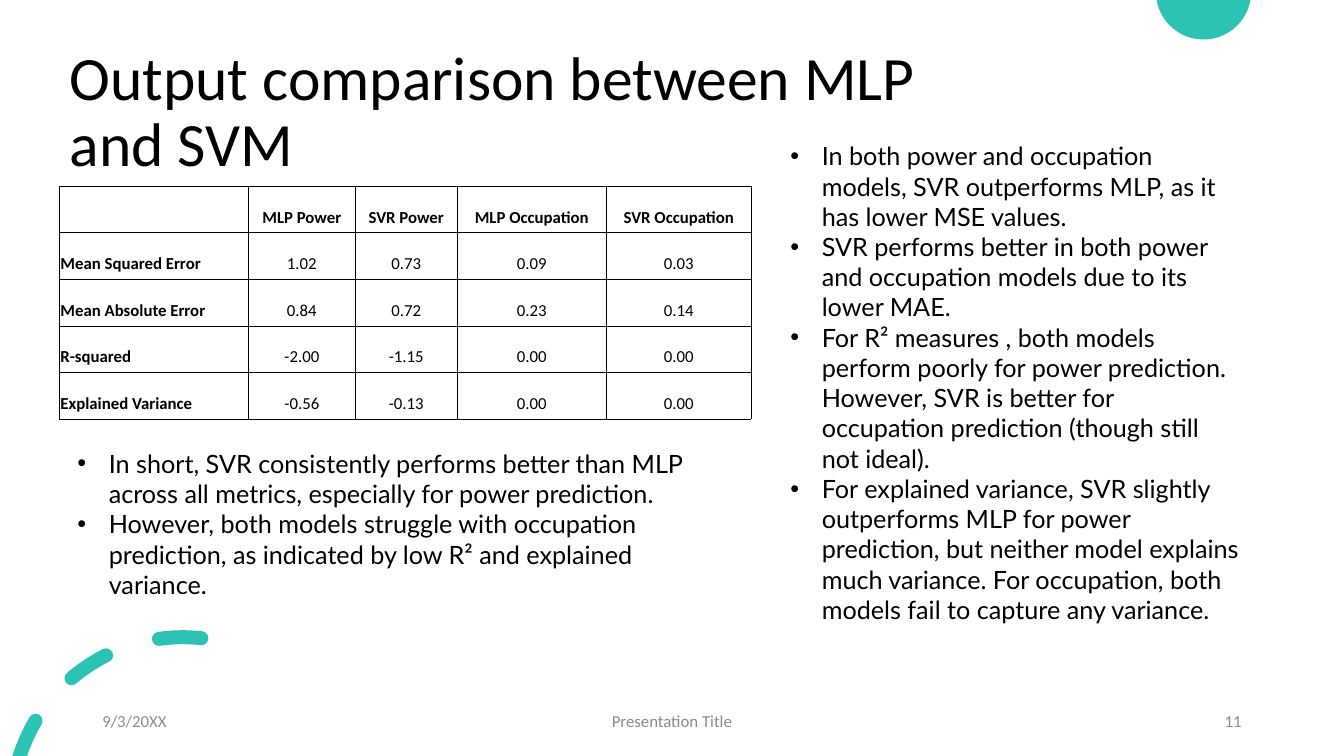
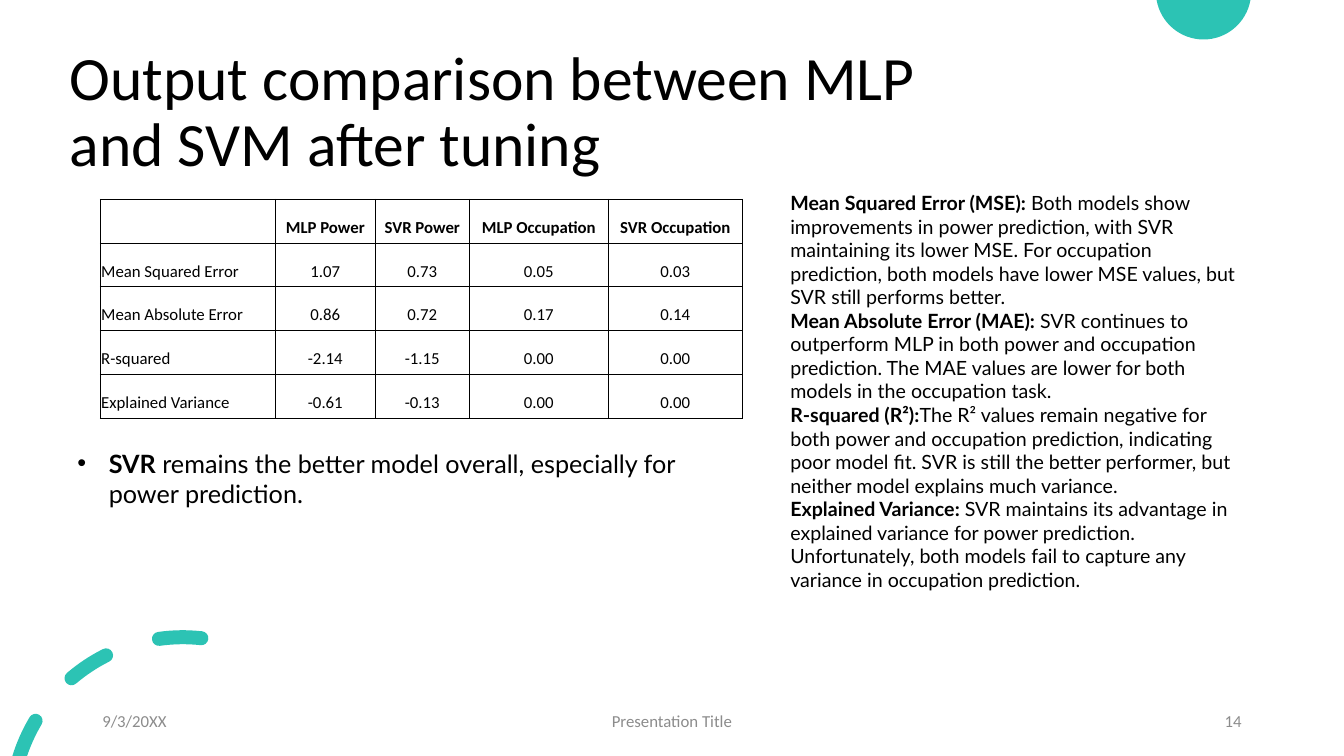
from math import cos, radians, sin, tan

from pptx import Presentation
from pptx.dml.color import RGBColor
from pptx.enum.text import MSO_ANCHOR as Anchor, MSO_AUTO_SIZE as AutoSize, PP_ALIGN as Align
from pptx.oxml import parse_xml
from pptx.oxml.ns import nsdecls, qn
from pptx.util import Pt

WIDTH, HEIGHT = 960, 540
TEAL, BLACK, GREY = "2CC3B4", "000000", "8C8C8C"
HEAD_FONT, BODY_FONT = "Calibri", "Lato"

TITLE_BOX = (42.5, 28.8, 657.4, 104.4)
COLUMN_PERCENTS = (27.3, 15.5, 14.7, 21.6, 20.9)
HEADER = ("", "MLP Power", "SVR Power", "MLP Occupation", "SVR Occupation")
METRICS = ("Mean Squared Error", "Mean Absolute Error", "R-squared", "Explained Variance")

# Each paragraph is (bold lead, plain rest).
SLIDES = [
    {
        "title": "Output comparison between MLP and SVM",
        "number": "11",
        "table_box": (42.5, 133, 494, 166.3),
        "bold_metrics": True,
        "values": [
            ("1.02", "0.73", "0.09", "0.03"),
            ("0.84", "0.72", "0.23", "0.14"),
            ("-2.00", "-1.15", "0.00", "0.00"),
            ("-0.56", "-0.13", "0.00", "0.00"),
        ],
        "summary_box": (48, 316.5, 482.4, 116.6),
        "summary": [
            ("", "In short, SVR consistently performs better than MLP across all metrics, "
                 "especially for power prediction."),
            ("", "However, both models struggle with occupation prediction, as indicated by "
                 "low R² and explained variance."),
        ],
        "details_box": (557.3, 96.8, 336.2, 399.6),
        "details_format": {"size": 18, "bullet": True},
        "details": [
            ("", "In both power and occupation models, SVR outperforms MLP, as it has lower "
                 "MSE values."),
            ("", "SVR performs better in both power and occupation models due to its lower MAE."),
            ("", "For R² measures , both models perform poorly for power prediction. However, "
                 "SVR is better for occupation prediction (though still not ideal)."),
            ("", "For explained variance, SVR slightly outperforms MLP for power prediction, "
                 "but neither model explains much variance. For occupation, both models fail "
                 "to capture any variance."),
        ],
    },
    {
        "title": "Output comparison between MLP and SVM after tuning",
        "number": "14",
        "table_box": (71.6, 142.3, 458.8, 156.4),
        "bold_metrics": False,
        "values": [
            ("1.07", "0.73", "0.05", "0.03"),
            ("0.86", "0.72", "0.17", "0.14"),
            ("-2.14", "-1.15", "0.00", "0.00"),
            ("-0.61", "-0.13", "0.00", "0.00"),
        ],
        "summary_box": (48, 316.5, 482.4, 51.1),
        "summary": [
            ("SVR", " remains the better model overall, especially for power prediction."),
        ],
        "details_box": (557.3, 132.9, 336.2, 295.9),
        "details_format": {"size": 14},
        "details": [
            ("Mean Squared Error (MSE): ",
             "Both models show improvements in power prediction, with SVR maintaining its lower "
             "MSE. For occupation prediction, both models have lower MSE values, but SVR still "
             "performs better."),
            ("Mean Absolute Error (MAE): ",
             "SVR continues to outperform MLP in both power and occupation prediction. The MAE "
             "values are lower for both models in the occupation task."),
            ("R-squared (R²):",
             "The R² values remain negative for both power and occupation prediction, "
             "indicating poor model fit. SVR is still the better performer, but neither model "
             "explains much variance."),
            ("Explained Variance: ",
             "SVR maintains its advantage in explained variance for power prediction. "
             "Unfortunately, both models fail to capture any variance in occupation prediction."),
        ],
    },
]

FOOTER_TOP, FOOTER_HEIGHT = 500.5, 28.8
FOOTERS = [  # left, width, alignment; the slide number fills the last one
    (66, 216, Align.LEFT),
    (318, 324, Align.CENTER),
    (678, 216, Align.RIGHT),
]

DISC_CENTRE, DISC_RADIUS = (859.7, -5.8), 34
RING_CENTRE, RING_RADIUS, DASH_HALF = (130.6, 577.6), 122.4, 5
ROUND_DASHES = [(83.8, 98), (116.6, 130.5)]
EDGE_DASH_START, EDGE_OUTER_END, EDGE_INNER_END = 149.2, 162.8, 161.3


def color(hex_string):
    return RGBColor.from_string(hex_string)


def place(shape, box):
    shape.left, shape.top, shape.width, shape.height = map(Pt, box)


def write(frame, paragraphs, size=12, font=HEAD_FONT, fill=BLACK, align=Align.LEFT,
          anchor=Anchor.TOP, spacing=None, bullet=False):
    """Fill a text frame with paragraphs, each a (bold lead, plain rest) pair."""
    frame.word_wrap = True
    frame.vertical_anchor = anchor
    for index, parts in enumerate(paragraphs):
        paragraph = frame.add_paragraph() if index else frame.paragraphs[0]
        paragraph.alignment = align
        paragraph.space_before = Pt(0)
        if spacing:
            paragraph.line_spacing = spacing
        properties = paragraph._p.get_or_add_pPr()
        indent = Pt(22.5) if bullet else 0
        properties.set("marL", str(indent))
        properties.set("indent", str(-indent))
        mark = 'buChar char="•"' if bullet else "buNone"
        properties.append(parse_xml(f"<a:{mark} {nsdecls('a')}/>"))
        for text, bold in zip(parts, (True, False)):
            if text:
                run = paragraph.add_run()
                run.text = text
                run.font.size, run.font.name, run.font.bold = Pt(size), font, bold
                run.font.color.rgb = color(fill)


def fill_placeholder(placeholder, box, paragraphs, **text_format):
    place(placeholder, box)
    placeholder.text_frame.auto_size = AutoSize.NONE
    write(placeholder.text_frame, paragraphs, **text_format)


def on_circle(centre, radius, angle):
    return centre[0] + radius * cos(radians(angle)), centre[1] - radius * sin(radians(angle))


def arc(centre, radius, start, end, pieces=1):
    """Bezier points of an arc: a start, then two controls and an end for each piece."""
    step = (end - start) / pieces
    reach = 4 / 3 * tan(radians(step / 4)) * radius
    points = [on_circle(centre, radius, start)]
    for piece in range(pieces):
        for angle, sign in ((start + piece * step, 1), (start + (piece + 1) * step, -1)):
            x, y = on_circle(centre, radius, angle)
            dx, dy = on_circle((0, 0), sign * reach, angle + 90)
            points.append((x + dx, y + dy))
        points.append((x, y))
    return points


def dash_outline(start, outer_end, inner_end=None):
    """Arcs round a thick dash; with an inner end given, that end is cut straight."""
    def cap(angle, turn):
        return arc(on_circle(RING_CENTRE, RING_RADIUS, angle), DASH_HALF, turn, turn + 180, 2)

    far_cap = [] if inner_end else [cap(outer_end, outer_end)]
    return [arc(RING_CENTRE, RING_RADIUS + DASH_HALF, start, outer_end), *far_cap,
            arc(RING_CENTRE, RING_RADIUS - DASH_HALF, inner_end or outer_end, start),
            cap(start, start + 180)]


def add_curved_shape(slide, outlines):
    """Add one teal shape whose outlines are lists of arcs joined by straight lines."""
    builder, kinds = None, []
    for arcs in outlines:
        points = []
        for part in arcs:
            part = [(Pt(x), Pt(y)) for x, y in part]
            joined = points and max(abs(a - b) for a, b in zip(points[-1], part[0])) < Pt(0.1)
            if points and not joined:
                points.append(part[0])
                kinds.append("line")
            points += part[1:] if points else part
            kinds += ["curve"] * (len(part) // 3)
        if builder:
            builder.move_to(*points[0])
        else:
            builder = slide.shapes.build_freeform(*points[0])
        builder.add_line_segments(points[1:], close=True)
    shape = builder.convert_to_shape()
    segments = iter(list(shape._element.iter(qn("a:lnTo"))))
    for kind in kinds:
        segment = next(segments)
        if kind == "curve":
            curve = parse_xml(f"<a:cubicBezTo {nsdecls('a')}/>")
            segment.addprevious(curve)
            for line in (segment, next(segments), next(segments)):
                curve.append(line[0])
                line.getparent().remove(line)
    shape.shadow.inherit = False
    shape.fill.solid()
    shape.fill.fore_color.rgb = color(TEAL)
    shape.line.fill.background()
    return shape


def decorate_layout(layout, slide):
    """Draw the shared shapes on a slide and move them to its layout."""
    disc = [arc(DISC_CENTRE, DISC_RADIUS, 189.8, 350.2, 2)]
    dashes = [dash_outline(*angles) for angles in ROUND_DASHES]
    dashes.append(dash_outline(EDGE_DASH_START, EDGE_OUTER_END, EDGE_INNER_END))
    for shape_id, outlines in ((101, [disc]), (102, dashes)):
        element = add_curved_shape(slide, outlines)._element
        element.nvSpPr.cNvPr.set("id", str(shape_id))
        layout.shapes._spTree.append(element)


def add_footers(slide, number):
    texts = ("9/3/20XX", "Presentation Title", number)
    for text, (left, width, align) in zip(texts, FOOTERS):
        box = slide.shapes.add_textbox(Pt(left), Pt(FOOTER_TOP), Pt(width), Pt(FOOTER_HEIGHT))
        write(box.text_frame, [("", text)], fill=GREY, align=align, anchor=Anchor.MIDDLE)


def set_borders(cell):
    properties = cell._tc.get_or_add_tcPr()
    for index, side in enumerate(("lnL", "lnR", "lnT", "lnB")):
        properties.insert(index, parse_xml(
            f'<a:{side} {nsdecls("a")} w="{Pt(0.5)}"><a:solidFill>'
            f'<a:srgbClr val="{BLACK}"/></a:solidFill></a:{side}>'))


def add_metrics_table(slide, box, values, bold_metrics):
    rows = [HEADER] + [(metric, *line) for metric, line in zip(METRICS, values)]
    table = slide.shapes.add_table(len(rows), len(HEADER), *map(Pt, box)).table
    for column, percent in zip(table.columns, COLUMN_PERCENTS):
        column.width = Pt(box[2] * percent / 100)
    for row_index, row in enumerate(rows):
        table.rows[row_index].height = Pt(box[3] / len(rows))
        for column_index, text in enumerate(row):
            cell = table.cell(row_index, column_index)
            cell.fill.background()
            cell.margin_left = cell.margin_right = cell.margin_top = Pt(0.7)
            cell.margin_bottom = Pt(3.6)
            bold = row_index == 0 or (column_index == 0 and bold_metrics)
            write(cell.text_frame, [(text, "") if bold else ("", text)],
                  align=Align.CENTER if column_index else Align.LEFT)
            cell.vertical_anchor = Anchor.BOTTOM
            set_borders(cell)


def add_comparison_slide(presentation, layout, content):
    slide = presentation.slides.add_slide(layout)
    title, summary, details = slide.placeholders
    fill_placeholder(title, TITLE_BOX, [("", content["title"])], size=44, spacing=0.9,
                     anchor=Anchor.MIDDLE)
    fill_placeholder(summary, content["summary_box"], content["summary"], size=18,
                     font=BODY_FONT, bullet=True)
    fill_placeholder(details, content["details_box"], content["details"], font=BODY_FONT,
                     **content["details_format"])
    add_metrics_table(slide, content["table_box"], content["values"], content["bold_metrics"])
    add_footers(slide, content["number"])


def main():
    presentation = Presentation()
    presentation.slide_width, presentation.slide_height = Pt(WIDTH), Pt(HEIGHT)
    layout = presentation.slide_layouts.get_by_name("Two Content")
    for content in SLIDES:
        add_comparison_slide(presentation, layout, content)
    decorate_layout(layout, presentation.slides[0])
    presentation.save("out.pptx")


if __name__ == "__main__":
    main()
